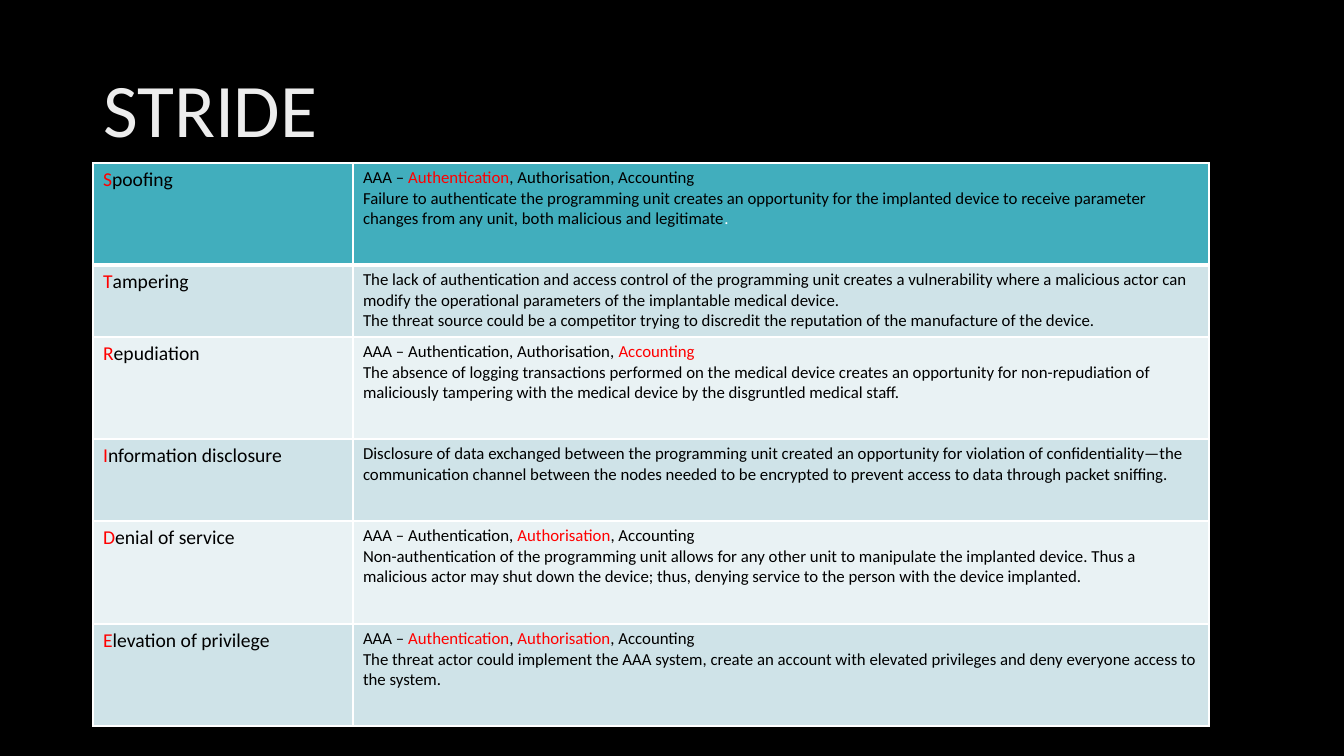
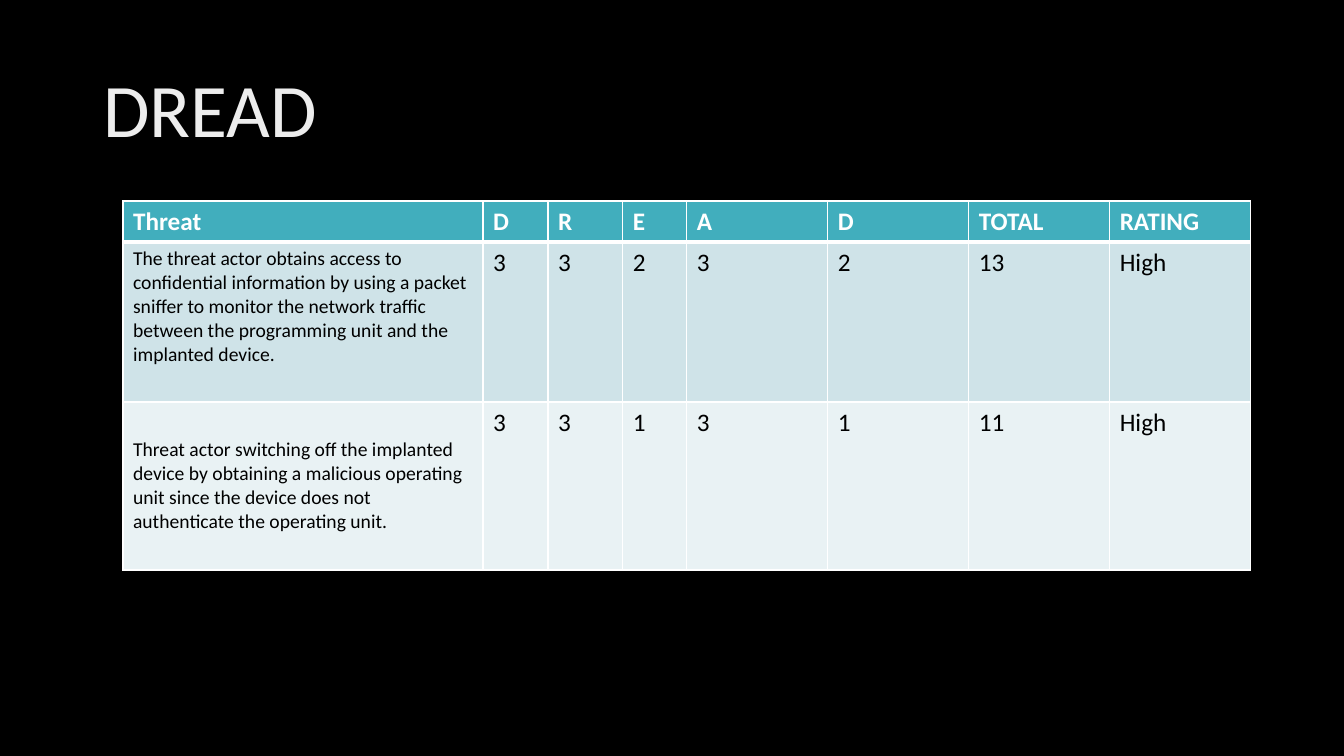
import pptx
import pptx.dml.color
import pptx.enum.text
import pptx.oxml
import pptx.oxml.ns
import pptx.util

RGB = pptx.dml.color.RGBColor
Pt = pptx.util.Pt
BLACK = RGB(0x00, 0x00, 0x00)
WHITE = RGB(0xFF, 0xFF, 0xFF)
SILVER = RGB(0xED, 0xED, 0xED)
RED = RGB(0xFF, 0x00, 0x00)
TEAL = RGB(0x41, 0xAE, 0xBD)
BANDS = (RGB(0xCF, 0xE3, 0xE8), RGB(0xE9, 0xF2, 0xF4))

FONT = "Calibri"
SCALE = 914400 / 100.8  # EMU in one px
SLIDE_SIZE = (1344, 756)
TITLE_BOX = (93, 40, 1159, 146)

# Content: a cell is a list of paragraphs, a paragraph a list of (text, colour) or plain text
AUTHENTICATION = ("Authentication", RED)
AUTHORISATION = ("Authorisation", RED)
ACCOUNTING = ("Accounting", RED)

STRIDE = [
    ("Spoofing", [
        ["AAA – ", AUTHENTICATION, ", Authorisation, Accounting"],
        ["Failure to authenticate the programming unit creates an opportunity for the implanted "
         "device to receive parameter changes from any unit, both malicious and legitimate",
         (".", WHITE)]]),
    ("Tampering", [
        ["The lack of authentication and access control of the programming unit creates a "
         "vulnerability where a malicious actor can modify the operational parameters of the "
         "implantable medical device."],
        ["The threat source could be a competitor trying to discredit the reputation of the "
         "manufacture of the device."]]),
    ("Repudiation", [
        ["AAA – Authentication, Authorisation, ", ACCOUNTING],
        ["The absence of logging transactions performed on the medical device creates an "
         "opportunity for non-repudiation of maliciously tampering with the medical device by "
         "the disgruntled medical staff."]]),
    ("Information disclosure", [
        ["Disclosure of data exchanged between the programming unit created an opportunity for "
         "violation of confidentiality—the communication channel between the nodes needed to be "
         "encrypted to prevent access to data through packet sniffing."]]),
    ("Denial of service", [
        ["AAA – Authentication, ", AUTHORISATION, ", Accounting"],
        ["Non-authentication of the programming unit allows for any other unit to manipulate the "
         "implanted device. Thus a malicious actor may shut down the device; thus, denying "
         "service to the person with the device implanted."]]),
    ("Elevation of privilege", [
        ["AAA – ", AUTHENTICATION, ", ", AUTHORISATION, ", Accounting"],
        ["The threat actor could implement the AAA system, create an account with elevated "
         "privileges and deny everyone access to the system."]]),
]
STRIDE_AT = (93, 163)
STRIDE_COLS = (260, 856)
STRIDE_ROWS = (102, 72, 102, 82, 103, 102)

DREAD = [
    ("Threat", "D", "R", "E", "A", "D", "TOTAL", "RATING"),
    ("The threat actor obtains access to confidential information by using a packet sniffer to "
     "monitor the network traffic between the programming unit and the implanted device.",
     "3", "3", "2", "3", "2", "13", "High"),
    ("Threat actor switching off the implanted device by obtaining a malicious operating unit "
     "since the device does not authenticate the operating unit.",
     "3", "3", "1", "3", "1", "11", "High"),
]
DREAD_AT = (123, 201)
DREAD_COLS = (360, 65, 75, 64, 141, 141, 141, 141)
DREAD_ROWS = (41, 160, 168)
LAST_THREAT_TOP = 36  # top margin of the last threat text

# Text formats
TITLE = dict(name=FONT, size=Pt(54), bold=False)
LABEL = dict(name=FONT, size=Pt(14), bold=False)
DETAIL = dict(name=FONT, size=Pt(12), bold=False)
HEAD = dict(name=FONT, size=Pt(18), bold=True)
SCORE = dict(name=FONT, size=Pt(18), bold=False)


def px(n):
    return pptx.util.Emu(round(n * SCALE))


def add_run(p, text, color, fmt):
    r = p.add_run()
    r.text = text
    for key, value in fmt.items():
        setattr(r.font, key, value)
    r.font.color.rgb = color


def add_slide(prs, title):
    s = prs.slides.add_slide(prs.slide_layouts[5])
    sp = s.shapes.title
    for key, n in zip(("left", "top", "width", "height"), TITLE_BOX):
        setattr(sp, key, px(n))
    tf = sp.text_frame
    tf.auto_size = pptx.enum.text.MSO_AUTO_SIZE.NONE
    tf.vertical_anchor = pptx.enum.text.MSO_ANCHOR.MIDDLE
    p = tf.paragraphs[0]
    p.alignment = pptx.enum.text.PP_ALIGN.LEFT
    p.line_spacing = 0.9
    add_run(p, title, SILVER, TITLE)
    return s


def add_borders(cell, bottom):
    tcPr = cell._tc.get_or_add_tcPr()
    for side, width in (("L", 1), ("R", 1), ("T", 1), ("B", bottom)):
        tcPr.append(pptx.oxml.parse_xml(
            f'<a:ln{side} {pptx.oxml.ns.nsdecls("a")} w="{Pt(width)}"><a:solidFill>'
            f'<a:srgbClr val="{WHITE}"/></a:solidFill></a:ln{side}>'))


def add_table(s, at, cols, rows):
    """Add a table with a teal first row, banded rows and white rules."""
    frame = s.shapes.add_table(len(rows), len(cols), *map(px, (*at, sum(cols), sum(rows))))
    table = frame.table
    for column, n in zip(table.columns, cols):
        column.width = px(n)
    for i, (row, n) in enumerate(zip(table.rows, rows)):
        row.height = px(n)
        for cell in row.cells:
            add_borders(cell, 1 if i else 3)
            cell.fill.solid()
            cell.fill.fore_color.rgb = BANDS[(i - 1) % 2] if i else TEAL
    return table


def fill_cell(cell, paragraphs, fmt, color=BLACK):
    tf = cell.text_frame
    for i, runs in enumerate(paragraphs):
        p = tf.add_paragraph() if i else tf.paragraphs[0]
        for run in runs:
            text, run_color = (run, color) if isinstance(run, str) else run
            add_run(p, text, run_color, fmt)


def build_stride(prs):
    table = add_table(add_slide(prs, "STRIDE"), STRIDE_AT, STRIDE_COLS, STRIDE_ROWS)
    for i, (threat, detail) in enumerate(STRIDE):
        fill_cell(table.cell(i, 0), [[(threat[0], RED), threat[1:]]], LABEL)
        fill_cell(table.cell(i, 1), detail, DETAIL)


def build_dread(prs):
    table = add_table(add_slide(prs, "DREAD"), DREAD_AT, DREAD_COLS, DREAD_ROWS)
    for i, row in enumerate(DREAD):
        for j, text in enumerate(row):
            fmt = HEAD if i == 0 else SCORE if j else LABEL
            fill_cell(table.cell(i, j), [[text]], fmt, BLACK if i else WHITE)
    table.cell(len(DREAD) - 1, 0).margin_top = px(LAST_THREAT_TOP)


def main():
    prs = pptx.Presentation()
    prs.slide_width, prs.slide_height = map(px, SLIDE_SIZE)
    # Shared black background
    fill = prs.slide_master.background.fill
    fill.solid()
    fill.fore_color.rgb = BLACK
    build_stride(prs)
    build_dread(prs)
    prs.save("out.pptx")


if __name__ == "__main__":
    main()
